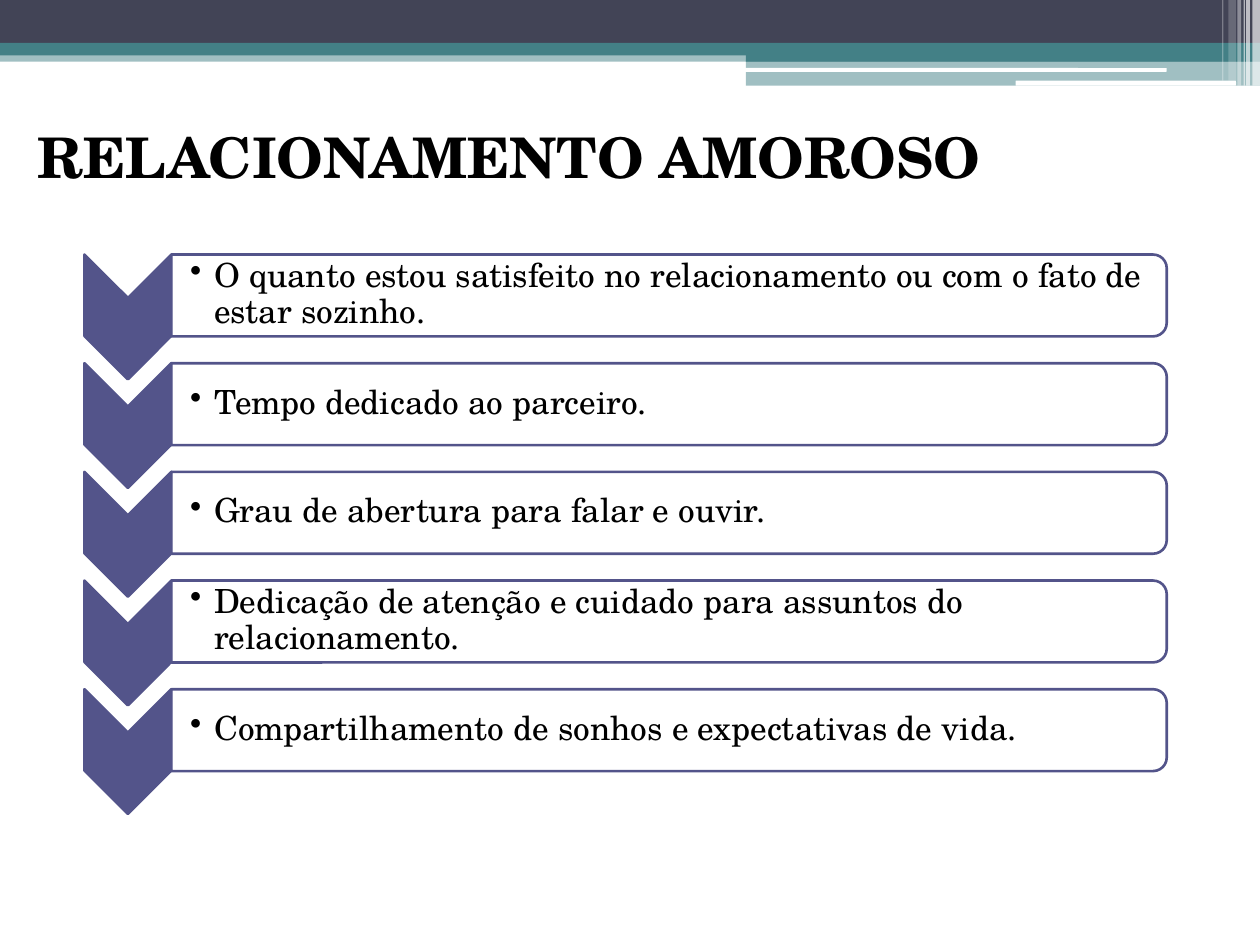
import pptx
import pptx.util
import pptx.dml.color
import pptx.enum.shapes
import pptx.enum.text
import pptx.oxml
import pptx.oxml.ns

Inches, Pt = pptx.util.Inches, pptx.util.Pt
SHAPE = pptx.enum.shapes.MSO_SHAPE
FONT = "TeX Gyre Schola"
NAVY, TEAL, PURPLE, WHITE, BLACK = "424456", "438086", "53548A", "FFFFFF", "000000"

# left, top, width, height, colour, opacity in percent
BANDS = [
    (0, 0.4, 10, 0.09, TEAL, 50),
    (0, 0, 10, 0.34, NAVY, 100),
    (0, 0.34, 10, 0.1, TEAL, 100),
    (5.92, 0.39, 4.08, 0.1, TEAL, 100),
    (5.92, 0.48, 4.08, 0.2, TEAL, 50),
]
HIGHLIGHTS = [(5.91, 0.54, 3.35, 0.03), (8.06, 0.64, 1.75, 0.04)]
# left, width, height, opacity in percent
STRIPES = [
    (9.94, 0.06, 0.68, 65),
    (9.89, 0.03, 0.68, 65),
    (9.87, 0.01, 0.68, 60),
    (9.82, 0.03, 0.68, 40),
    (9.75, 0.06, 0.64, 20),
    (9.7, 0.01, 0.64, 30),
]
TOPICS = [
    "O quanto estou satisfeito no relacionamento ou com o fato de estar sozinho.",
    "Tempo dedicado ao parceiro.",
    "Grau de abertura para falar e ouvir.",
    "Dedicação de atenção e cuidado para assuntos do relacionamento.",
    "Compartilhamento de sonhos e expectativas de vida.",
]


def rgb(color):
    return pptx.dml.color.RGBColor.from_string(color)


def add_shape(shapes, kind, left, top, width, height, fill, opacity=100, line=None):
    sp = shapes.add_shape(kind, Inches(left), Inches(top), Inches(width), Inches(height))
    sp.shadow.inherit = False
    sp.fill.solid()
    sp.fill.fore_color.rgb = rgb(fill)
    if opacity < 100:
        srgb = sp.fill._xPr.find(".//" + pptx.oxml.ns.qn("a:srgbClr"))
        alpha = pptx.oxml.parse_xml("<a:alpha %s/>" % pptx.oxml.ns.nsdecls("a"))
        alpha.set("val", str(opacity * 1000))
        srgb.append(alpha)
    if line:
        sp.line.color.rgb = rgb(line)
        sp.line.width = Pt(1.5)
    else:
        sp.line.fill.background()
    return sp


def add_turned(shapes, kind, left, top, width, height, fill, opacity=100):
    """Add a shape turned by 90 degrees that covers the given box once turned."""
    shift = (width - height) / 2
    sp = add_shape(shapes, kind, left + shift, top - shift, height, width, fill, opacity, PURPLE)
    sp.rotation = 90
    return sp


def add_text(shapes, text, left, top, width, height, size, bold=None):
    box = shapes.add_textbox(Inches(left), Inches(top), Inches(width), Inches(height))
    tf = box.text_frame
    tf.word_wrap = True
    p = tf.paragraphs[0]
    p.text = text
    font = p.runs[0].font
    font.name, font.size, font.bold = FONT, Pt(size), bold
    font.color.rgb = rgb(BLACK)
    return tf


def add_header(shapes):
    for band in BANDS:
        add_shape(shapes, SHAPE.RECTANGLE, *band)
    for box in HIGHLIGHTS:
        add_shape(shapes, SHAPE.ROUNDED_RECTANGLE, *box, WHITE)
    for left, width, height, opacity in STRIPES:
        add_shape(shapes, SHAPE.RECTANGLE, left, 0, width, height, WHITE, opacity)


def add_topic(shapes, text, left, top, width, height):
    """Add a downward chevron with an outlined, bulleted panel to its right."""
    chevron_width, panel_height = 0.69, 0.65
    panel_left = left + chevron_width
    panel_width = width - chevron_width
    add_turned(shapes, SHAPE.CHEVRON, left, top, chevron_width, height, PURPLE)
    add_turned(shapes, SHAPE.ROUND_2_SAME_RECTANGLE, panel_left, top,
               panel_width, panel_height, WHITE, 90)

    tf = add_text(shapes, text, panel_left, top + 0.03, panel_width - 0.03,
                  panel_height - 0.07, 19)
    tf.vertical_anchor = pptx.enum.text.MSO_ANCHOR.MIDDLE
    tf.margin_left = Inches(0.15)
    tf.margin_top = tf.margin_right = tf.margin_bottom = Inches(0.01)
    p = tf.paragraphs[0]
    p.level = 1
    p.line_spacing = 0.9
    pPr = p._p.get_or_add_pPr()
    pPr.set("marL", str(Inches(0.19)))
    pPr.set("indent", str(-Inches(0.19)))
    pPr.append(pptx.oxml.parse_xml(
        '<a:buChar %s char="•"/>' % pptx.oxml.ns.nsdecls("a")))


def add_topic_list(shapes, topics, left, top, width, height):
    group = shapes.add_group_shape().shapes
    row_height = 0.99
    pitch = (height - row_height) / (len(topics) - 1)
    for i, text in enumerate(topics):
        add_topic(group, text, left, top + i * pitch, width, row_height)


def main():
    prs = pptx.Presentation()
    prs.slide_width, prs.slide_height = Inches(10), Inches(7.5)
    s = prs.slides.add_slide(prs.slide_layouts[6])
    add_header(s.shapes)
    add_text(s.shapes, "RELACIONAMENTO AMOROSO", 0.2, 0.92, 9.69, 0.64, 32, True)
    add_topic_list(s.shapes, TOPICS, 0.67, 2.02, 8.59, 4.44)
    prs.save("out.pptx")


if __name__ == "__main__":
    main()
